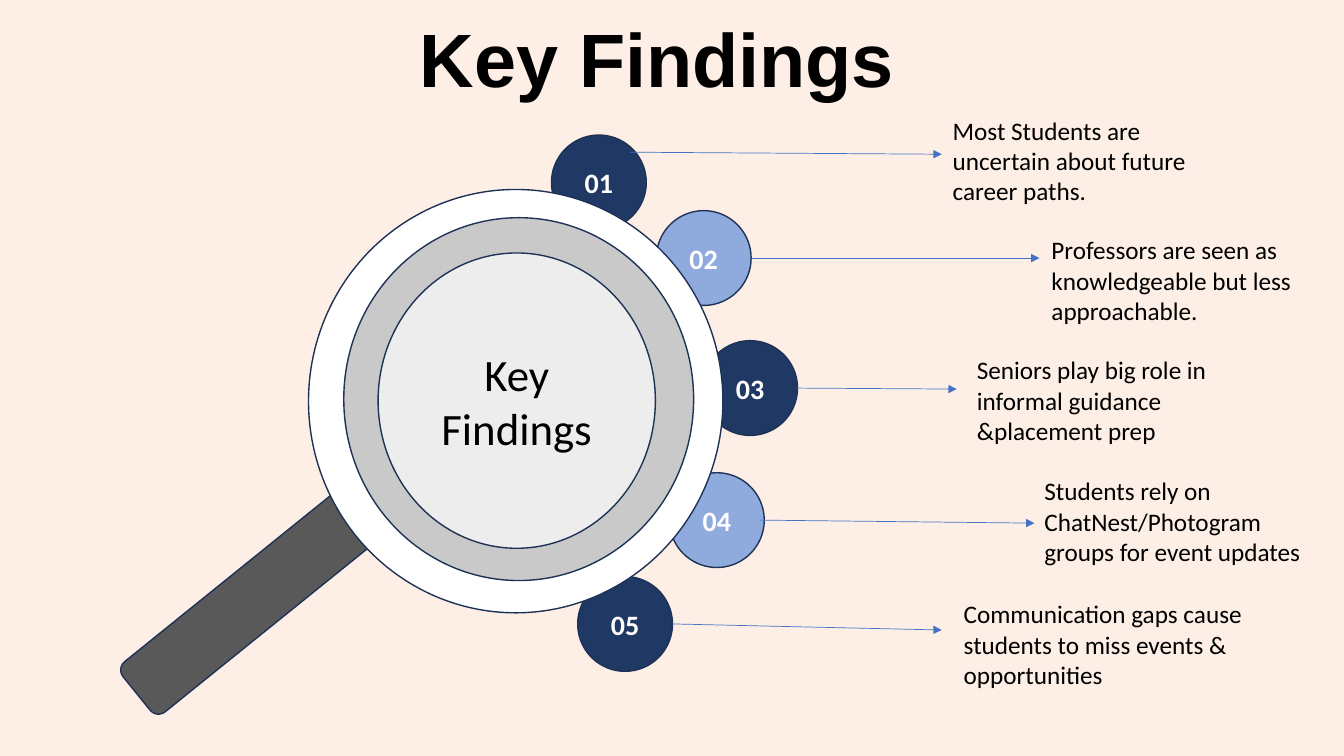
"""Build the Key Findings slide: a magnifying glass with five numbered callouts."""
import pptx
import pptx.dml.color
import pptx.enum.shapes
import pptx.enum.text
import pptx.oxml.ns
import pptx.util
from lxml import etree

SCALE = 9144
NAVY, BLUE, OUTLINE, ARROW = "203864", "8FAADC", "1E3256", "4472C4"
BADGE_SIZE = 94
SHAPES = pptx.enum.shapes.MSO_SHAPE
CENTER = pptx.enum.text.PP_ALIGN.CENTER
LEFT = pptx.enum.text.PP_ALIGN.LEFT

FINDINGS = [
    ((547, 134), (625, 151, 934, 153), (935, 109, 300),
     "Most Students are uncertain about future career paths."),
    ((651, 209), (745, 256, 1031, 256), (1033, 228, 269),
     "Professors are seen as knowledgeable but less approachable."),
    ((697, 338), (790, 385, 949, 386), (959, 347, 325),
     "Seniors play big role in informal guidance &placement prep"),
    ((664, 469), (754, 516, 1026, 519), (1026, 467, 295),
     "Students rely on ChatNest/Photogram groups for event updates"),
    ((573, 572), (667, 619, 934, 625), (946, 589, 300),
     "Communication gaps cause students to miss events & opportunities"),
]
LENS = [
    ((306, 188, 411, 420), "FFFFFF", ""),
    ((341, 216, 347, 360), "C9C9C9", ""),
    ((375, 251, 275, 293), "EDEDED", "Key Findings"),
]


def px(*lengths):
    """Turn pixel lengths into EMU."""
    return [pptx.util.Emu(length * SCALE) for length in lengths]


def color(value):
    """Turn a hex string into a colour."""
    return pptx.dml.color.RGBColor.from_string(value)


def write(box, text, align, ink, **formats):
    """Put one formatted paragraph into a shape."""
    box.text_frame.word_wrap = True
    para = box.text_frame.paragraphs[0]
    para.alignment = align
    span = para.add_run()
    span.text = text
    for name, value in formats.items():
        setattr(span.font, name, value)
    span.font.color.rgb = color(ink)


def add_solid(page, kind, place, fill, rotation=0):
    """Add an outlined shape with a plain fill."""
    box = page.shapes.add_shape(kind, *px(*place))
    box.shadow.inherit = False
    box.rotation = rotation
    box.fill.solid()
    box.fill.fore_color.rgb = color(fill)
    box.line.color.rgb = color(OUTLINE)
    box.line.width = pptx.util.Pt(1)
    box.text_frame.vertical_anchor = pptx.enum.text.MSO_ANCHOR.MIDDLE
    return box


def add_text(page, place, text, align, **formats):
    """Add a wrapping text box that grows with its text."""
    box = page.shapes.add_textbox(*px(*place))
    write(box, text, align, "000000", **formats)
    box.text_frame.auto_size = pptx.enum.text.MSO_AUTO_SIZE.SHAPE_TO_FIT_TEXT


def add_arrow(page, ends):
    """Add a thin straight arrow."""
    arrow = page.shapes.add_connector(
        pptx.enum.shapes.MSO_CONNECTOR.STRAIGHT, *px(*ends))
    arrow.line.color.rgb = color(ARROW)
    arrow.line.width = pptx.util.Pt(0.5)
    line = arrow.line._get_or_add_ln()
    etree.SubElement(line, pptx.oxml.ns.qn("a:tailEnd"), type="triangle")
    etree.SubElement(arrow._element.spPr, pptx.oxml.ns.qn("a:effectLst"))


def main():
    """Draw the slide and save it."""
    deck = pptx.Presentation()
    deck.slide_width, deck.slide_height = px(1333, 750)
    page = deck.slides.add_slide(deck.slide_layouts[6])
    page.background.fill.solid()
    page.background.fill.fore_color.rgb = color("FDEFE6")

    add_solid(page, SHAPES.ROUNDED_RECTANGLE, (97, 547, 347, 64), "595959", 321.1)
    add_text(page, (354, 7, 595, 101), "Key Findings", CENTER,
             name="Arial", size=pptx.util.Pt(54), bold=True)
    for index, (corner, *_) in enumerate(FINDINGS):
        badge = add_solid(page, SHAPES.OVAL, (*corner, BADGE_SIZE, BADGE_SIZE),
                          BLUE if index % 2 else NAVY)
        write(badge, f"{index + 1:02}", CENTER, "FFFFFF",
              name="Calibri", size=pptx.util.Pt(20), bold=True)
    for place, fill, label in LENS:
        ring = add_solid(page, SHAPES.OVAL, place, fill)
        if label:
            write(ring, label, CENTER, "000000",
                  name="Calibri", size=pptx.util.Pt(32))
    for _, ends, place, text in FINDINGS:
        add_arrow(page, ends)
        add_text(page, (*place, 101), text, LEFT,
                 name="Calibri", size=pptx.util.Pt(18))
    deck.save("out.pptx")


if __name__ == "__main__":
    main()
